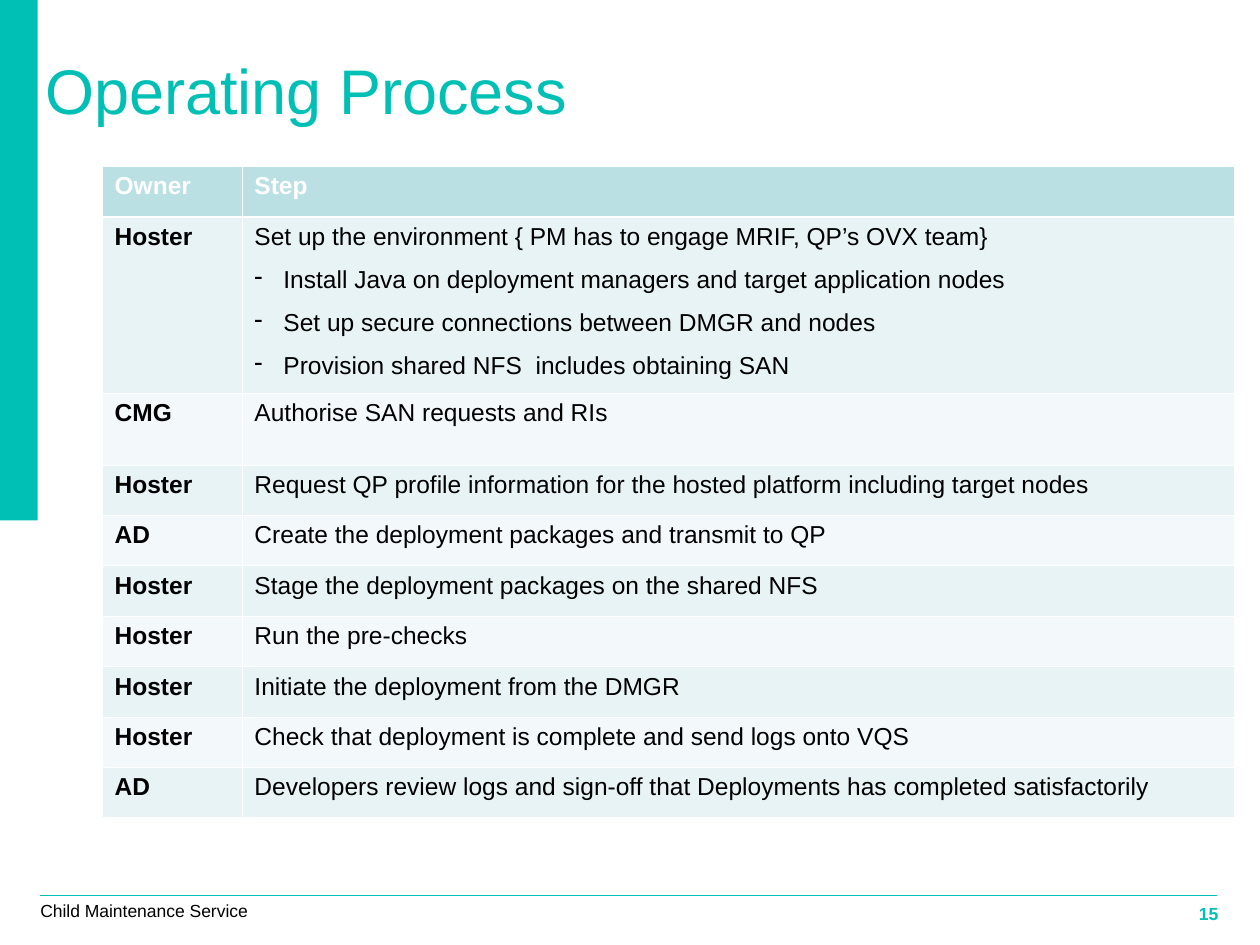
from pptx import Presentation
from pptx.dml.color import RGBColor
from pptx.enum.shapes import MSO_CONNECTOR as Line, MSO_SHAPE as Shape
from pptx.enum.text import MSO_ANCHOR as Anchor, PP_ALIGN as Align
from pptx.oxml.ns import qn
from pptx.util import Inches, Pt
from lxml.etree import SubElement as Sub

HUES = {"teal": "00C0B5", "black": "000000", "white": "FFFFFF",
        "head": "BBE0E3", "odd": "E7F3F4", "even": "F3F9FA"}
ROWS = [
    ("Owner", ["Step"], 0.4),
    ("Hoster", ["Set up the environment { PM has to engage MRIF, QP’s OVX team}",
                "Install Java on deployment managers and target application nodes",
                "Set up secure connections between DMGR and nodes",
                "Provision shared NFS  includes obtaining SAN"], 1.4),
    ("CMG", ["Authorise SAN requests and RIs"], 0.57),
    ("Hoster", ["Request QP profile information for the hosted platform including target nodes"], 0.4),
    ("AD", ["Create the deployment packages and transmit to QP"], 0.4),
    ("Hoster", ["Stage the deployment packages on the shared NFS"], 0.4),
    ("Hoster", ["Run the pre-checks"], 0.4),
    ("Hoster", ["Initiate the deployment from the DMGR"], 0.4),
    ("Hoster", ["Check that deployment is complete and send logs onto VQS"], 0.4),
    ("AD", ["Developers review logs and sign-off that Deployments has completed satisfactorily"], 0.4),
]


def style(para, size, hue, bold=False):
    font = para.font
    font.name, font.size, font.bold = "Arial", Pt(size), bold
    font.color.rgb = RGBColor.from_string(HUES[hue])


def label(text, left, top, width, height, size, hue, bold=False):
    """Add a one-line text box without margins and return its frame."""
    box = slide.shapes.add_textbox(Inches(left), Inches(top), Inches(width), Inches(height))
    frame = box.text_frame
    frame.margin_left = frame.margin_right = frame.margin_top = frame.margin_bottom = 0
    frame.text = text
    style(frame.paragraphs[0], size, hue, bold)
    return frame


deck = Presentation()
deck.slide_width, deck.slide_height = Inches(10), Inches(7.5)
slide = deck.slides.add_slide(deck.slide_layouts[6])
teal = RGBColor.from_string(HUES["teal"])

# Side bar and footer
bar = slide.shapes.add_shape(Shape.RECTANGLE, 0, 0, Inches(0.3), Inches(4.13))
bar.shadow.inherit = False
bar.fill.solid()
bar.fill.fore_color.rgb = teal
bar.line.fill.background()

rule = slide.shapes.add_connector(
    Line.STRAIGHT, Inches(0.32), Inches(7.11), Inches(9.66), Inches(7.11))
rule.line.color.rgb = teal
rule.line.width = Pt(0.75)
Sub(rule._element.spPr, qn("a:effectLst"))

number = label("15", 9.11, 7.15, 0.56, 0.16, 10, "teal", True).paragraphs[0]
number.alignment = Align.RIGHT
number.line_spacing = 1.1
label("Child Maintenance Service", 0.32, 7.14, 1.65, 0.17, 10, "black")

title = label("Operating Process", 0.36, 0.38, 8.88, 0.63, 36, "teal")
title.word_wrap = True
title.vertical_anchor = Anchor.BOTTOM

# Table of steps
table = slide.shapes.add_table(len(ROWS), 2, Inches(0.81), Inches(1.32),
                               Inches(8.99), Inches(5.2)).table
table.first_row = table.horz_banding = False
for col, width in zip(table.columns, (1.11, 7.88)):
    col.width = Inches(width)

for r, (owner, steps, height) in enumerate(ROWS):
    table.rows[r].height = Inches(height)
    fill = "head" if r == 0 else "odd" if r % 2 else "even"
    for c, lines in enumerate(([owner], steps)):
        cell = table.cell(r, c)
        cell.text = "\n".join(lines)
        for i, para in enumerate(cell.text_frame.paragraphs):
            if len(lines) > 1:
                para.alignment = Align.JUSTIFY
            if i:
                para.space_before = Pt(8.8)
                props = para._p.get_or_add_pPr()
                props.set("marL", str(Inches(0.23)))
                props.set("indent", str(-Inches(0.23)))
                Sub(props, qn("a:buChar"), char="-")
            style(para, 14, "black" if r else "white", r == 0 or c == 0)
        edges = cell._tc.get_or_add_tcPr()
        for side in "LRTB":
            thick = (r, side) in ((0, "B"), (1, "T"))
            edge = Sub(edges, qn(f"a:ln{side}"), w=str(Pt(1.47 if thick else 0.45)))
            Sub(Sub(edge, qn("a:solidFill")), qn("a:srgbClr"), val=HUES["white"])
        cell.fill.solid()
        cell.fill.fore_color.rgb = RGBColor.from_string(HUES[fill])

deck.save("out.pptx")
